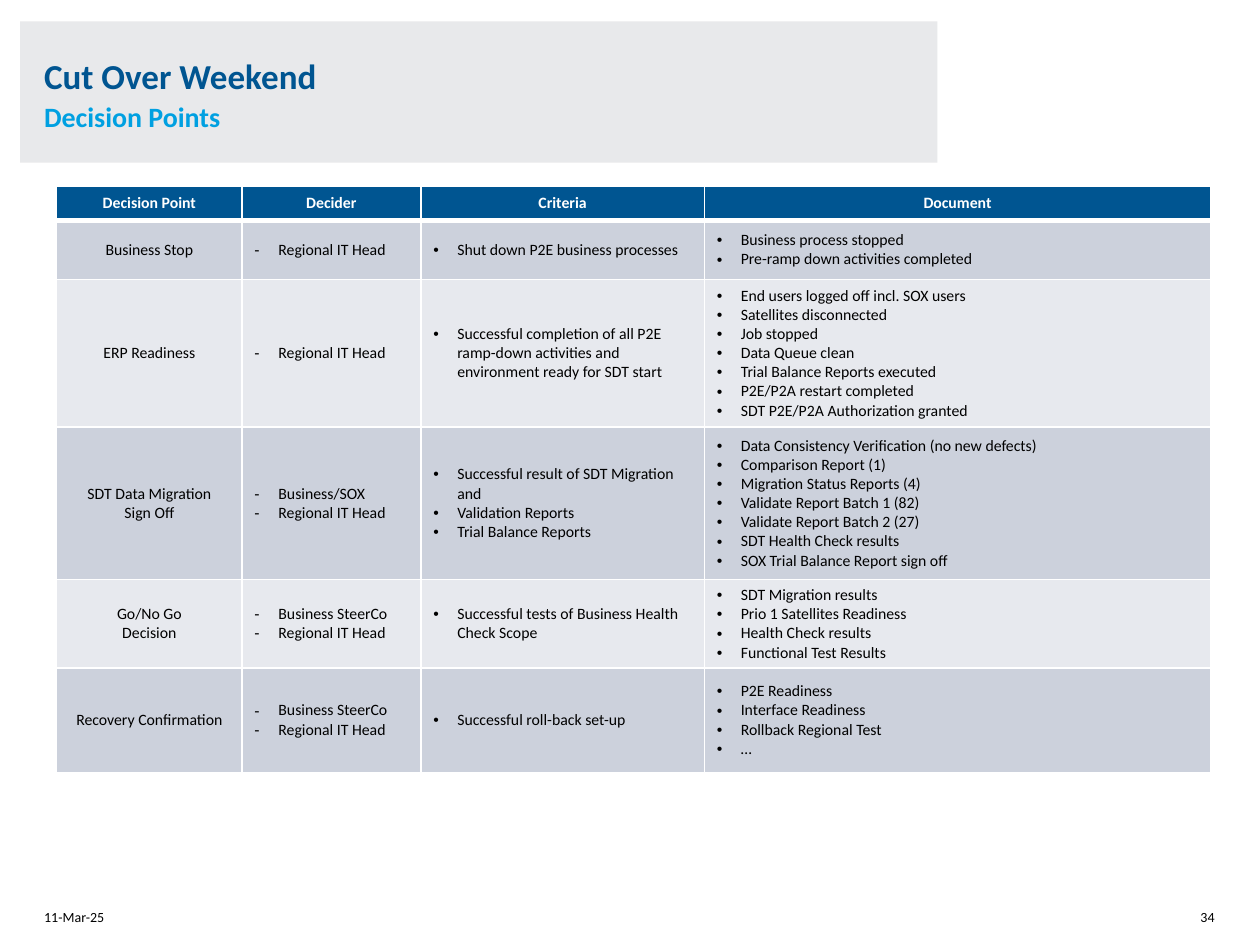
from lxml import etree
from pptx import Presentation
from pptx.dml.color import RGBColor
from pptx.enum import shapes, text
from pptx.oxml.ns import qn
from pptx.util import Inches, Pt

NAVY, SKY, BLACK, WHITE = "005591", "00A0E1", "000000", "FFFFFF"
BANDS = ["CCD1DC", "E7E9EE"]
MID, LOW = text.MSO_ANCHOR.MIDDLE, text.MSO_ANCHOR.BOTTOM
LEFT, MIDDLE, RIGHT = text.PP_ALIGN.LEFT, text.PP_ALIGN.CENTER, text.PP_ALIGN.RIGHT


def paint(item, color):
    """Give a fill or a font its colour."""
    if hasattr(item, "solid"):
        item.solid()
        item.fore_color.rgb = RGBColor.from_string(color)
    else:
        item.color.rgb = RGBColor.from_string(color)


def add_run(para, words, size, color, bold=False):
    run = para.add_run()
    run.text = words
    run.font.name = "Calibri"
    run.font.size = Pt(size)
    run.font.bold = bold
    paint(run.font, color)


deck = Presentation()
deck.slide_width, deck.slide_height = Inches(10), Inches(7.5)
slide = deck.slides.add_slide(deck.slide_layouts[6])

# Title band
band = slide.shapes.add_shape(shapes.MSO_SHAPE.RECTANGLE, Inches(0.16),
                              Inches(0.17), Inches(7.28), Inches(1.12))
band.shadow.inherit = False
paint(band.fill, "E8E9EB")
band.line.fill.background()
frame = band.text_frame
frame.word_wrap = True
frame.vertical_anchor = MID
frame.margin_left = frame.margin_right = Inches(0.19)
frame.margin_top = frame.margin_bottom = 0
para = frame.paragraphs[0]
para.alignment = LEFT
para.line_spacing = 1.1
add_run(para, "Cut Over Weekend", 20, NAVY, True)
para.add_line_break()
add_run(para, "Decision Points", 16, SKY, True)

# Footer: date and page number
for words, left, width, align in [("11-Mar-25", 0.35, 0.79, LEFT),
                                  ("34", 9.25, 0.39, RIGHT)]:
    box = slide.shapes.add_textbox(Inches(left), Inches(7.06), Inches(width), Inches(0.28))
    frame = box.text_frame
    frame.word_wrap = True
    frame.vertical_anchor = LOW
    frame.margin_left = frame.margin_right = 0
    frame.margin_top = frame.margin_bottom = 0
    frame.paragraphs[0].alignment = align
    add_run(frame.paragraphs[0], words, 8, BLACK)

# Table content: each cell is a list of lines
head = "Regional IT Head"
rows = [
    [["Decision Point"], ["Decider"], ["Criteria"], ["Document"]],
    [["Business Stop"], [head], ["Shut down P2E business processes"],
     ["Business process stopped", "Pre-ramp down activities completed"]],
    [["ERP Readiness"], [head],
     ["Successful completion of all P2E ramp-down activities and "
      "environment ready for SDT start"],
     ["End users logged off incl. SOX users", "Satellites disconnected",
      "Job stopped", "Data Queue clean", "Trial Balance Reports executed",
      "P2E/P2A restart completed", "SDT P2E/P2A Authorization granted"]],
    [["SDT Data Migration", "Sign Off"], ["Business/SOX", head],
     ["Successful result of SDT Migration and", "Validation Reports",
      "Trial Balance Reports"],
     ["Data Consistency Verification (no new defects)",
      "Comparison Report (1)", "Migration Status Reports (4)",
      "Validate Report Batch 1 (82)", "Validate Report Batch 2 (27)",
      "SDT Health Check results", "SOX Trial Balance Report sign off"]],
    [["Go/No Go", "Decision"], ["Business SteerCo", head],
     ["Successful tests of Business Health Check Scope"],
     ["SDT Migration results", "Prio 1 Satellites Readiness",
      "Health Check results", "Functional Test Results"]],
    [["Recovery Confirmation"], ["Business SteerCo", head],
     ["Successful roll-back set-up"],
     ["P2E Readiness", "Interface Readiness", "Rollback Regional Test", "…"]],
]
widths = [1.47, 1.42, 2.25, 4.02]
heights = [0.27, 0.47, 1.17, 1.21, 0.7, 0.83]
marks = [None, "-", "•", "•"]

table = slide.shapes.add_table(len(rows), len(widths), Inches(0.45), Inches(1.48),
                               Inches(sum(widths)), Inches(sum(heights))).table
for col, width in zip(table.columns, widths):
    col.width = Inches(width)
for row, height in zip(table.rows, heights):
    row.height = Inches(height)

for r, row in enumerate(rows):
    for c, lines in enumerate(row):
        cell = table.cell(r, c)
        cell.vertical_anchor = MID

        # White borders, thick between header and body
        props = cell._tc.get_or_add_tcPr()
        for side in ["lnL", "lnR", "lnT", "lnB"]:
            thick = (r, side) in [(0, "lnB"), (1, "lnT")]
            edge = etree.SubElement(props, qn("a:" + side), w=str(Pt(3 if thick else 1)))
            fill = etree.SubElement(edge, qn("a:solidFill"))
            etree.SubElement(fill, qn("a:srgbClr"), val=WHITE)
        paint(cell.fill, BANDS[(r - 1) % 2] if r else NAVY)

        # Centred labels, or bulleted lines
        for i, words in enumerate(lines):
            frame = cell.text_frame
            para = frame.add_paragraph() if i else frame.paragraphs[0]
            if r and marks[c]:
                para.alignment = LEFT
                form = para._p.get_or_add_pPr()
                form.set("marL", str(Inches(0.19)))
                form.set("indent", str(Inches(-0.19)))
                etree.SubElement(form, qn("a:buFont"), typeface="Arial")
                etree.SubElement(form, qn("a:buChar"), char=marks[c])
            else:
                para.alignment = MIDDLE
            add_run(para, words, 9, BLACK if r else WHITE, r == 0)

deck.save("out.pptx")
